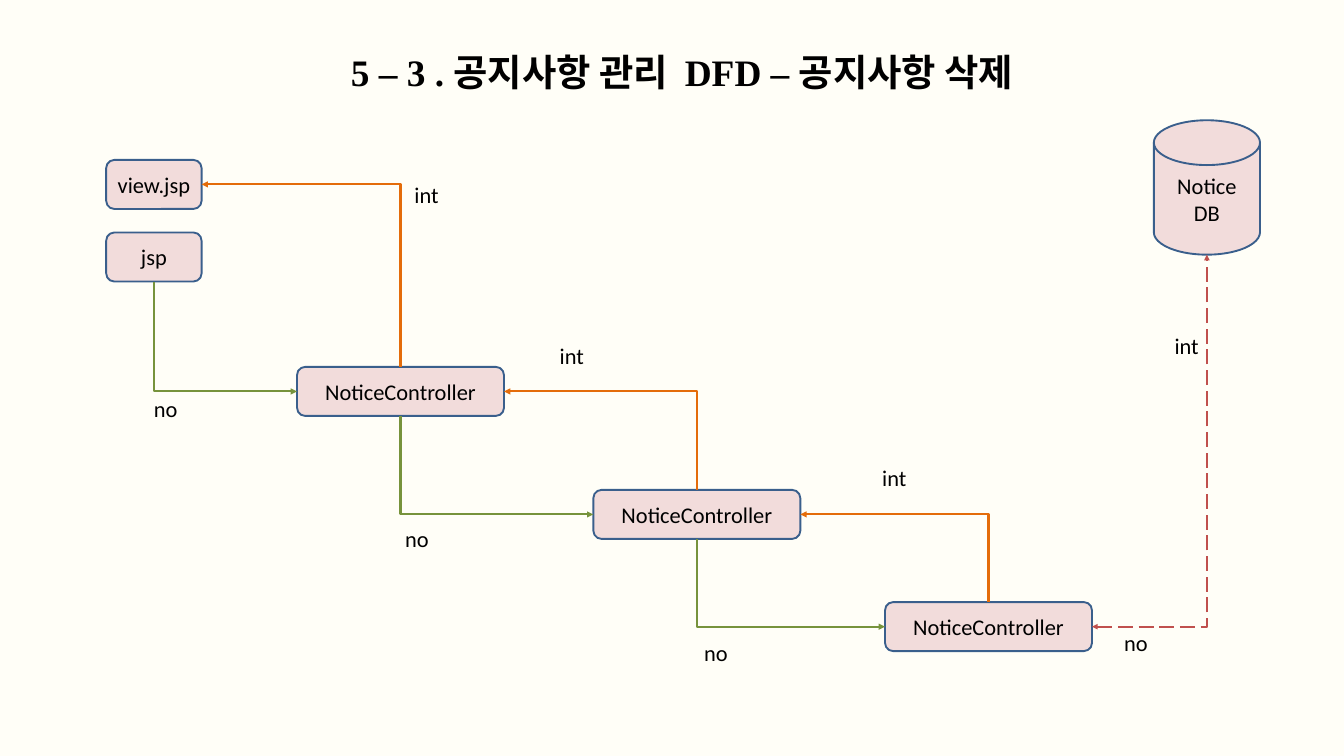
from lxml.etree import SubElement
from pptx import Presentation
from pptx.dml.color import RGBColor
from pptx.enum.dml import MSO_LINE
from pptx.enum.shapes import MSO_CONNECTOR, MSO_SHAPE
from pptx.enum.text import MSO_ANCHOR, PP_ALIGN
from pptx.oxml.ns import qn
from pptx.util import Inches, Pt

IVORY = RGBColor(0xFF, 0xFE, 0xF7)
PINK = RGBColor(0xF2, 0xDC, 0xDB)
BLUE = RGBColor(0x3A, 0x5F, 0x8C)
GREEN = RGBColor(0x77, 0x93, 0x3C)
ORANGE = RGBColor(0xE4, 0x6C, 0x0A)
RED = RGBColor(0xC0, 0x50, 0x4D)
BLACK = RGBColor(0, 0, 0)


def write(shape, text, size=24, name="Calibri", bold=False, align=PP_ALIGN.CENTER):
    tf = shape.text_frame
    tf.text = text
    for p in tf.paragraphs:
        p.alignment = align
        for r in p.runs:
            r.font.size = Pt(size)
            r.font.name = name
            r.font.bold = bold
            r.font.color.rgb = BLACK


def elbow(start, start_site, end, end_site, color, width, ends):
    c = s.shapes.add_connector(MSO_CONNECTOR.ELBOW, 0, 0, 0, 0)
    c.begin_connect(start, start_site)
    c.end_connect(end, end_site)
    c.line.color.rgb = color
    c.line.width = Pt(width)
    spPr = c._element.spPr
    spPr.prstGeom.set("prst", "bentConnector2")
    SubElement(spPr, qn("a:effectLst"))
    for end_tag in ends:
        SubElement(c.line._get_or_add_ln(), qn(end_tag)).set("type", "triangle")
    return c


prs = Presentation()
prs.slide_width, prs.slide_height = Inches(20), Inches(11.25)
s = prs.slides.add_slide(prs.slide_layouts[6])
s.background.fill.solid()
s.background.fill.fore_color.rgb = IVORY

title = s.shapes.add_textbox(Inches(3.88), Inches(0.68), Inches(12.54), Inches(0.77))
title.text_frame.word_wrap = True
write(title, "5 – 3 . 공지사항 관리  DFD – 공지사항 삭제", 40, "Times New Roman", True)

nodes = []
for kind, text, x, y, w, h in [
    (MSO_SHAPE.FLOWCHART_MAGNETIC_DISK, "Notice\nDB", 17.17, 1.79, 1.58, 2),
    (MSO_SHAPE.ROUNDED_RECTANGLE, "view.jsp", 1.58, 2.38, 1.42, 0.73),
    (MSO_SHAPE.ROUNDED_RECTANGLE, "jsp", 1.58, 3.46, 1.42, 0.73),
    (MSO_SHAPE.ROUNDED_RECTANGLE, "NoticeController", 4.42, 5.46, 3.08, 0.73),
    (MSO_SHAPE.ROUNDED_RECTANGLE, "NoticeController", 8.83, 7.29, 3.08, 0.73),
    (MSO_SHAPE.ROUNDED_RECTANGLE, "NoticeController", 13.17, 8.96, 3.08, 0.73),
]:
    sp = s.shapes.add_shape(kind, Inches(x), Inches(y), Inches(w), Inches(h))
    sp.shadow.inherit = False
    sp.fill.solid()
    sp.fill.fore_color.rgb = PINK
    sp.line.color.rgb = BLUE
    sp.line.width = Pt(2)
    tf = sp.text_frame
    tf.vertical_anchor = MSO_ANCHOR.MIDDLE
    tf.margin_left = tf.margin_right = Inches(0.05)
    write(sp, text)
    nodes.append(sp)
db, view, jsp, first, second, third = nodes

for start, start_site, end, end_site, color, flip in [
    (jsp, 2, first, 1, GREEN, "flipH"),
    (first, 2, second, 1, GREEN, "flipH"),
    (second, 2, third, 1, GREEN, "flipH"),
    (third, 0, second, 3, ORANGE, "flipV"),
    (second, 0, first, 3, ORANGE, "flipV"),
    (first, 0, view, 3, ORANGE, "flipV"),
]:
    c = elbow(start, start_site, end, end_site, color, 2.25, ["a:tailEnd"])
    w, h = c.width, c.height
    c.left, c.top = c.left + (w - h) // 2, c.top + (h - w) // 2
    c.width, c.height = h, w
    xfrm = c._element.spPr.xfrm
    for name in ("flipH", "flipV"):
        xfrm.set(name, "1" if name == flip else "0")
    xfrm.set("rot", "16200000")

c = elbow(third, 3, db, 3, RED, 2, [])
c.end_x, c.end_y = db.left + db.width // 2, db.top + db.height
c.line.dash_style = MSO_LINE.LONG_DASH
for end_tag in ("a:headEnd", "a:tailEnd"):
    SubElement(c.line._get_or_add_ln(), qn(end_tag)).set("type", "triangle")

for text, x, y in [
    ("no", 2.19, 5.83),
    ("no", 5.93, 7.77),
    ("no", 10.38, 9.46),
    ("no", 16.63, 9.32),
    ("int", 17.38, 4.89),
    ("int", 13.03, 6.85),
    ("int", 8.23, 5.04),
    ("int", 6.07, 2.65),
]:
    label = s.shapes.add_textbox(Inches(x), Inches(y), Inches(0.57), Inches(0.5))
    label.text_frame.word_wrap = False
    write(label, text, align=PP_ALIGN.LEFT)

prs.save("out.pptx")
